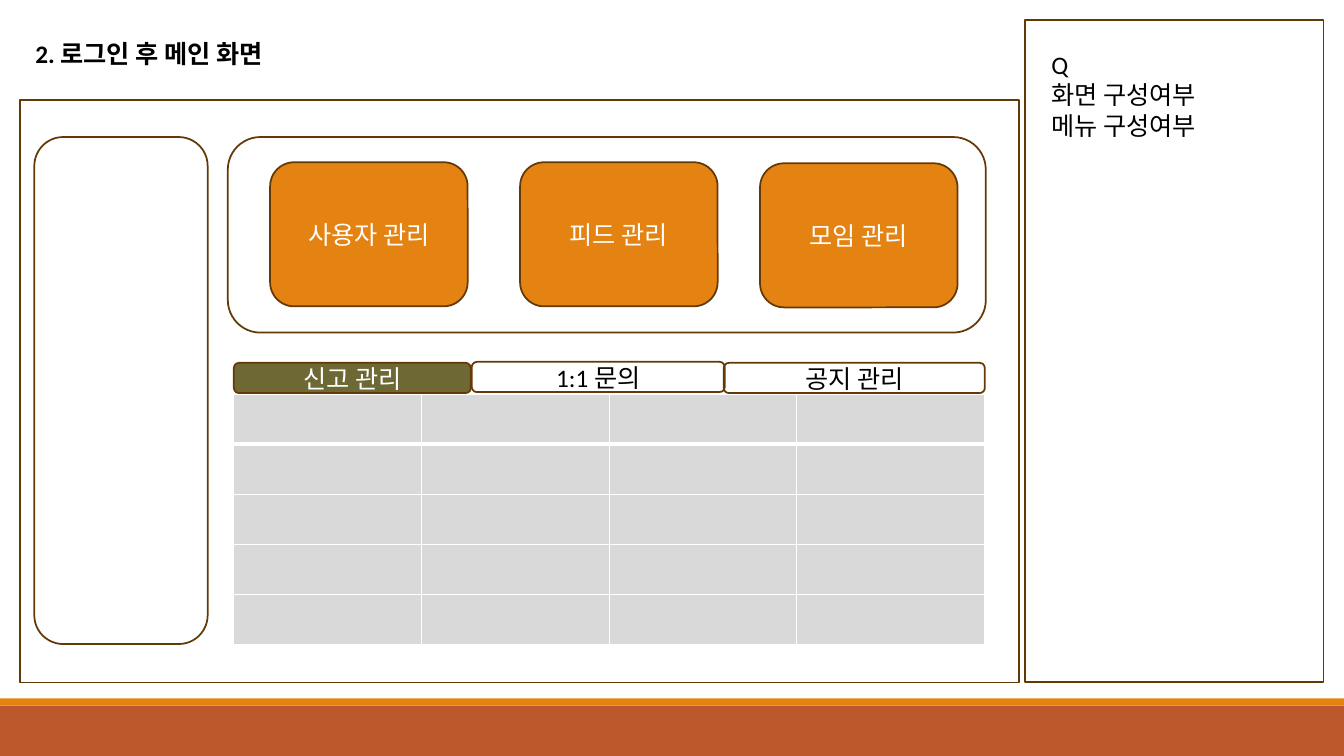
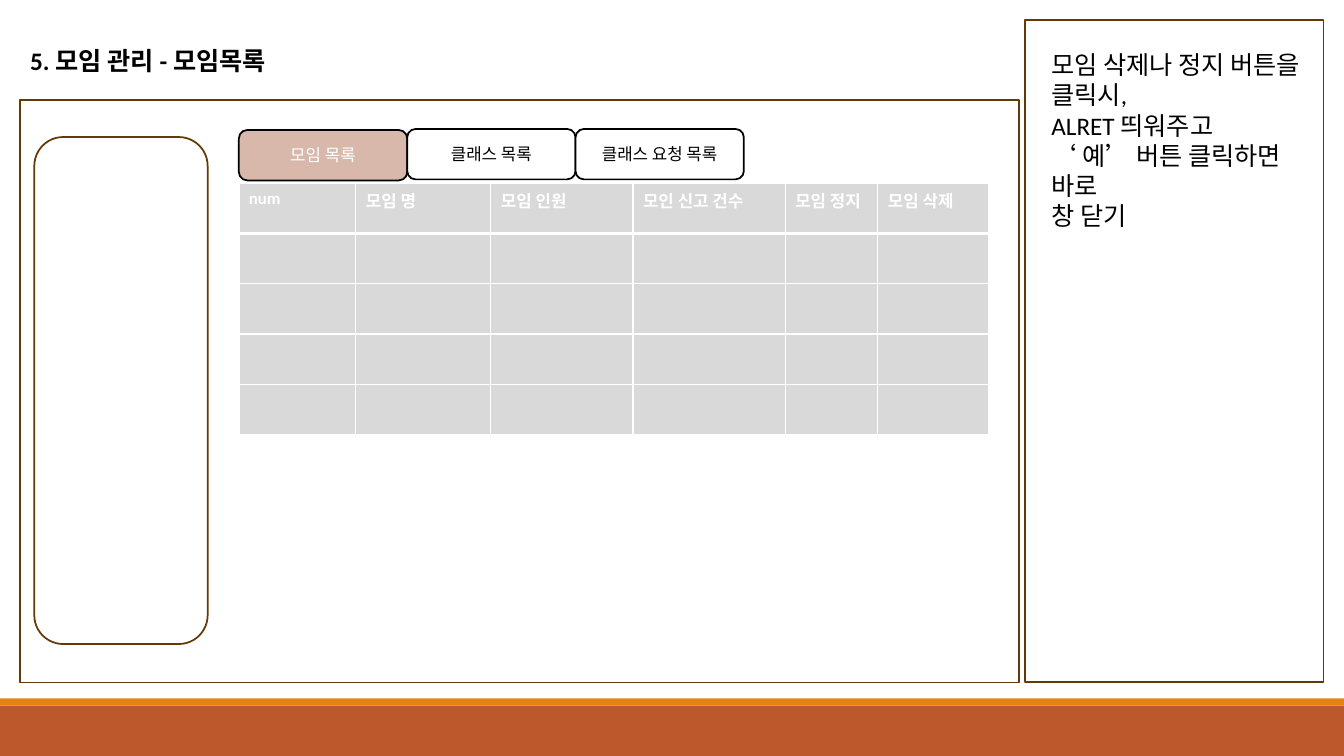
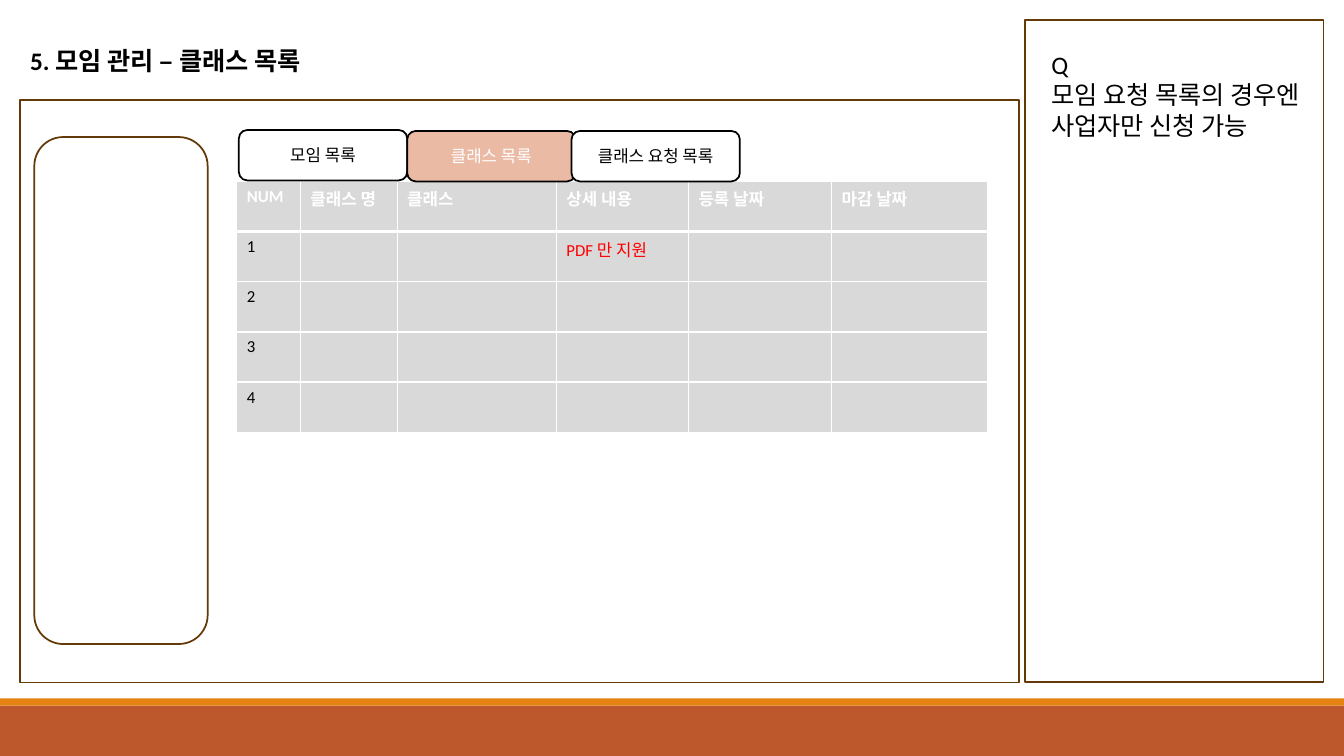
import pptx
import pptx.dml.color
import pptx.enum.shapes
import pptx.enum.text
import pptx.oxml.ns
import pptx.util
from lxml import etree

BROWN, ORANGE, RUST = "643908", "E48312", "BD582C"
BLACK, WHITE, GREY, RED = "000000", "FFFFFF", "D9D9D9", "FF0000"
OLIVE, ROSE, PEACH = "6D6834", "D7B8AB", "EABAA5"
FONT = "Calibri"
WIDE, HIGH = 133.33, 75  # grid columns and rows, each a tenth of an inch

SHAPE = pptx.enum.shapes.MSO_SHAPE
ALIGN = pptx.enum.text.PP_ALIGN
ANCHOR = pptx.enum.text.MSO_ANCHOR
tag = pptx.oxml.ns.qn


def hue(code):
    return pptx.dml.color.RGBColor.from_string(code)


def grid(*cells):
    """Turn grid columns or rows into lengths."""
    return [pptx.util.Inches(round(cell / 10, 3)) for cell in cells]


def edge(cell, side, width):
    """Draw one white border of a table cell."""
    props = cell._tc.get_or_add_tcPr()
    line = etree.SubElement(props, tag("a:ln" + side),
                            w=str(pptx.util.Pt(width)))
    fill = etree.SubElement(line, tag("a:solidFill"))
    etree.SubElement(fill, tag("a:srgbClr"), val=WHITE)


class Deck:
    def __init__(self):
        self.show = pptx.Presentation()
        self.show.slide_width, self.show.slide_height = grid(WIDE, HIGH)
        self.slide = None

    def label(self, para, text, size=18, ink=BLACK, bold=False):
        """Add the text as runs, with a line break at each newline."""
        for num, part in enumerate(text.split("\n")):
            if num:
                para.add_line_break()
            run = para.add_run()
            run.text = part
            run.font.name = FONT
            run.font.size = pptx.util.Pt(size)
            run.font.bold = bold
            run.font.color.rgb = hue(ink)

    def box(self, area, fill=None, line=BROWN, kind=SHAPE.RECTANGLE,
            text=None, size=18, ink=BLACK):
        shape = self.slide.shapes.add_shape(kind, *grid(*area))
        shape.shadow.inherit = False
        if fill:
            shape.fill.solid()
            shape.fill.fore_color.rgb = hue(fill)
        else:
            shape.fill.background()
        if line:
            shape.line.color.rgb = hue(line)
            shape.line.width = pptx.util.Pt(1.25)
        else:
            shape.line.fill.background()
        if text:
            frame = shape.text_frame
            frame.word_wrap = True
            frame.vertical_anchor = ANCHOR.MIDDLE
            frame.paragraphs[0].alignment = ALIGN.CENTER
            self.label(frame.paragraphs[0], text, size, ink)

    def round(self, area, **style):
        self.box(area, kind=SHAPE.ROUNDED_RECTANGLE, **style)

    def fit(self, holder, area, lines, bold=False):
        """Move a placeholder and fill it with plain left-aligned lines."""
        holder.left, holder.top, holder.width, holder.height = grid(*area)
        frame = holder.text_frame
        frame.word_wrap = True
        frame.auto_size = pptx.enum.text.MSO_AUTO_SIZE.NONE
        frame.vertical_anchor = ANCHOR.TOP
        for num, text in enumerate(lines):
            para = frame.add_paragraph() if num else frame.paragraphs[0]
            para.alignment = ALIGN.LEFT
            para.space_before = pptx.util.Pt(0)
            props = para._p.get_or_add_pPr()
            props.set("marL", "0")
            props.set("indent", "0")
            etree.SubElement(props, tag("a:buNone"))
            self.label(para, text, bold=bold)

    def page(self, title, notes, left=2, top=4):
        """Start a slide with its bands, panels, title and side notes."""
        self.slide = self.show.slides.add_slide(self.show.slide_layouts[1])
        self.box((0, 70, WIDE, 5), RUST, None)
        self.box((0, 69.3, WIDE, 0.7), ORANGE, None)
        self.round((3.4, 13.6, 17.2, 50.3))
        self.box((2, 9.9, 99.1, 57.8))
        self.box((101.7, 2, 29.6, 65.7))
        head, body = self.slide.placeholders
        self.fit(head, (left, top, 66.6, 4), [title], True)
        self.fit(body, (103.3, 4.4, 29.6, 16.2), notes)

    def tabs(self, places, names, live, fill, line=BLACK, size=12, back=WHITE):
        """Draw a row of tabs; the live one is coloured."""
        for num, (area, name) in enumerate(zip(places, names)):
            on = num == live
            self.round(area, fill=fill if on else back, line=line,
                       text=name, size=size, ink=WHITE if on else BLACK)

    def table(self, left, top, cols, head=(), cells=None):
        """Draw five rows; cells maps (row, column) to text and colour."""
        texts = {(0, col): (name, WHITE) for col, name in enumerate(head)}
        texts.update(cells or {})
        area = grid(left, top, sum(cols), 24.9)
        table = self.slide.shapes.add_table(5, len(cols), *area).table
        table.horz_banding = False
        for col, width in zip(table.columns, grid(*cols)):
            col.width = width
        for r, row in enumerate(table.rows):
            row.height = grid(4.98)[0]
            for c, cell in enumerate(row.cells):
                for side in "LRTB":
                    thick = (r, side) in ((0, "B"), (1, "T"))
                    edge(cell, side, 3 if thick else 1)
                cell.fill.solid()
                cell.fill.fore_color.rgb = hue(GREY)
                if (r, c) in texts:
                    text, ink = texts[r, c]
                    self.label(cell.text_frame.paragraphs[0], text, 12, ink,
                               r == 0)


def main():
    deck = Deck()
    lists = ["모임 목록", "클래스 목록", "클래스 요청 목록"]

    deck.page("2. 로그인 후 메인 화면", ["Q", "화면 구성여부", "메뉴 구성여부"],
              2.5, 3.3)
    deck.round((22.6, 13.6, 75.2, 19.4))
    for left, top, name in ((26.8, 16.1, "사용자 관리"),
                            (51.6, 16.1, "피드 관리"),
                            (75.4, 16.2, "모임 관리")):
        deck.round((left, top, 19.6, 14.3), fill=ORANGE, text=name, ink=WHITE)
    deck.tabs([(23.2, 36, 23.5, 3), (46.8, 35.9, 25.1, 3),
               (71.8, 36, 25.9, 3)],
              ["신고 관리", "1:1 문의", "공지 관리"], 0, OLIVE, BROWN, 18, None)
    deck.table(23.2, 39.1, [18.62] * 4)

    deck.page("5. 모임 관리 - 모임목록",
              ["모임 삭제나 정지 버튼을\n클릭시,", "ALRET 띄워주고",
               "‘ 예’ 버튼 클릭하면 바로", "창 닫기"])
    deck.table(23.7, 18.2, [11.6, 13.4, 14.1, 15.1, 9.2, 11],
               ["num", "모임 명", "모임 인원", "모인 신고 건수", "모임 정지",
                "모임 삭제"])
    deck.tabs([(23.7, 12.9, 16.7, 5), (40.4, 12.8, 16.7, 5),
               (57.1, 12.8, 16.7, 5)], lists, 0, ROSE)

    deck.page("5. 모임 관리 – 클래스 목록",
              ["Q", "모임 요청 목록의 경우엔", "사업자만 신청 가능"])
    cells = {(num, 0): (str(num), BLACK) for num in range(1, 5)}
    cells[1, 3] = ("PDF 만 지원", RED)
    deck.table(23.5, 18, [6.3, 9.6, 15.8, 13.1, 14.2, 15.5],
               ["NUM", "클래스 명", "클래스", "상세 내용", "등록 날짜",
                "마감 날짜"], cells)
    deck.tabs([(23.7, 12.9, 16.7, 5), (40.4, 13, 16.7, 5),
               (56.7, 13, 16.7, 5)], lists, 1, PEACH)

    deck.show.save("out.pptx")


if __name__ == "__main__":
    main()
